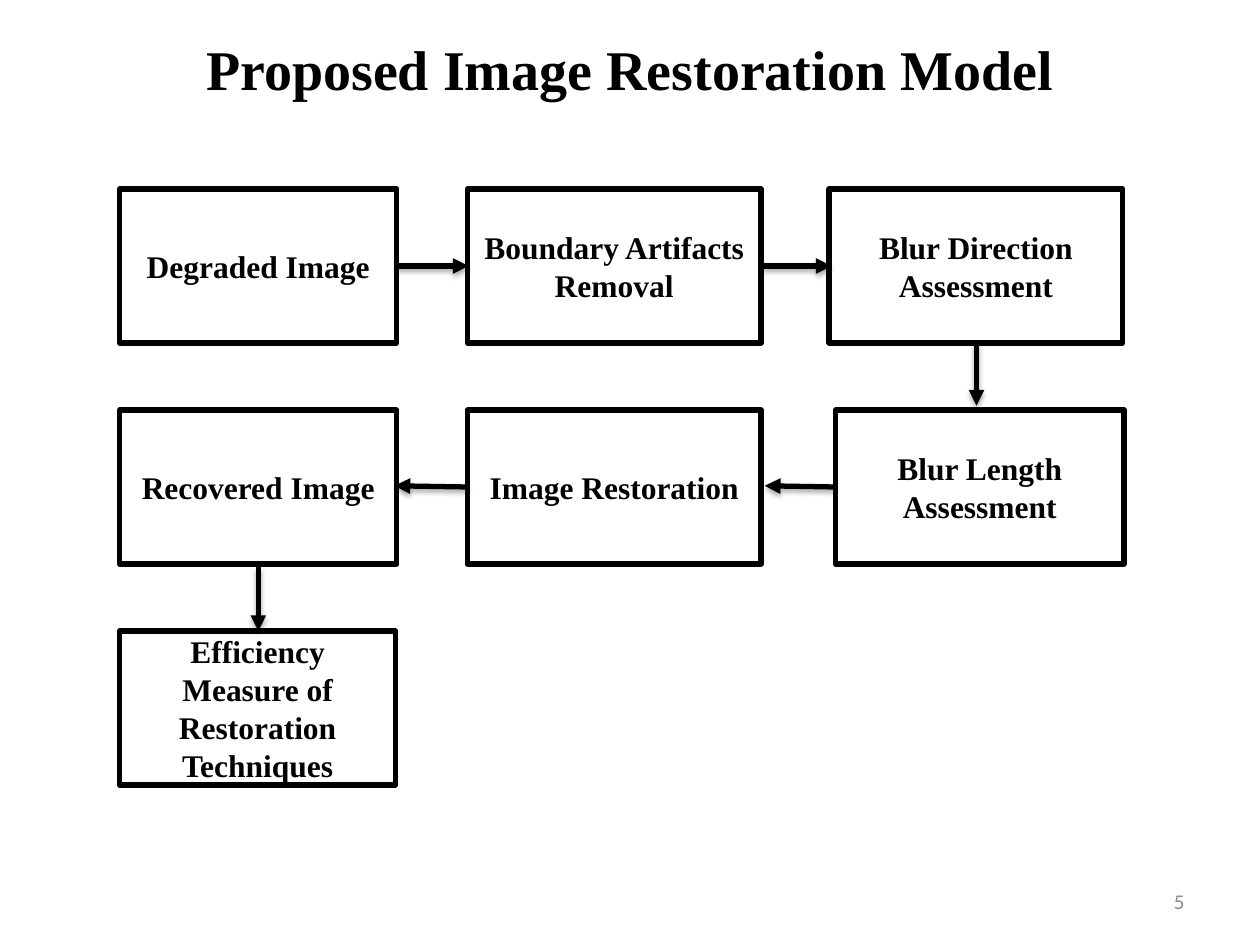
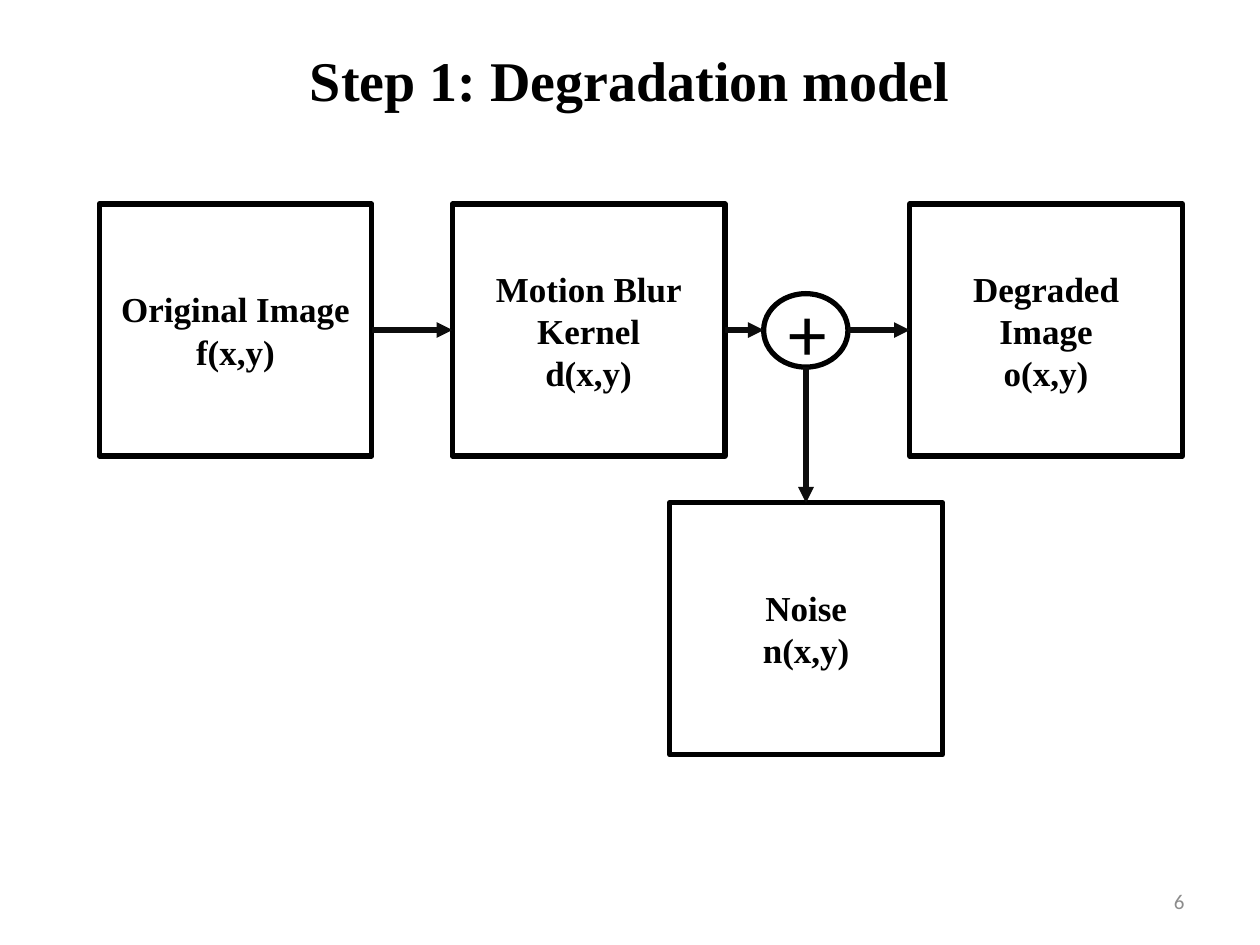
from dataclasses import dataclass

from lxml import etree
from pptx import Presentation
from pptx import util as u
from pptx.dml.color import RGBColor
from pptx.enum import shapes, text
from pptx.oxml.ns import qn

RECT = shapes.MSO_SHAPE.RECTANGLE
OVAL = shapes.MSO_SHAPE.OVAL


@dataclass(frozen=True)
class Theme:
    ink: str = "000000"
    soft: str = "0D0D0D"
    gray: str = "8C8C8C"
    paper: str = "FFFFFF"
    serif: str = "Times New Roman"
    sans: str = "Calibri"
    head: int = 32
    flow: int = 18
    block: int = 20
    sign: int = 44
    foot: int = 12
    line: int = 3


def write(frame, words, size, font, color, bold=False, align="CENTER"):
    """Fill a frame; a newline starts a paragraph, a vertical tab breaks a line."""
    frame.text = words
    frame.word_wrap = True
    frame.vertical_anchor = text.MSO_ANCHOR.MIDDLE
    for para in frame.paragraphs:
        para.alignment = getattr(text.PP_ALIGN, align)
        for run in para.runs:
            run.font.size = u.Pt(size)
            run.font.name = font
            run.font.bold = bold
            run.font.color.rgb = RGBColor.from_string(color)


def points(*sizes):
    return [u.Pt(size) for size in sizes]


def add(parent, tag, **attrs):
    return etree.SubElement(parent, qn(tag), attrs)


class Deck:
    def __init__(self, theme):
        self.theme = theme
        self.show = Presentation()
        self.show.slide_width, self.show.slide_height = points(720, 540)
        self.slide = None

    def page(self, title, top, height, number):
        look = self.theme
        self.slide = self.show.slides.add_slide(self.show.slide_layouts[5])
        head = self.slide.shapes.title
        head.left, head.top, head.width, head.height = points(36, top, 648, height)
        write(head.text_frame, title, look.head, look.serif, look.ink, bold=True)
        foot = self.slide.shapes.add_textbox(*points(516, 500.5, 168, 28.75))
        write(foot.text_frame, str(number), look.foot, look.sans, look.gray,
              align="RIGHT")

    def shape(self, kind, place, words, **form):
        look = self.theme
        item = self.slide.shapes.add_shape(kind, *points(*place))
        item.shadow.inherit = False
        item.fill.solid()
        item.fill.fore_color.rgb = RGBColor.from_string(look.paper)
        item.line.color.rgb = RGBColor.from_string(look.ink)
        item.line.width = u.Pt(look.line)
        write(item.text_frame, words, color=look.ink, **form)

    def box(self, place, words, size):
        self.shape(RECT, place, words, size=size, font=self.theme.serif, bold=True)

    def plus(self, place):
        self.shape(OVAL, place, "+", size=self.theme.sign, font=self.theme.sans)

    def arrow(self, ends, color, shade=False):
        link = self.slide.shapes.add_connector(
            shapes.MSO_CONNECTOR.STRAIGHT, *points(*ends))
        link.line.color.rgb = RGBColor.from_string(color)
        link.line.width = u.Pt(self.theme.line)
        add(link.line._get_or_add_ln(), "a:tailEnd", type="triangle")
        effects = add(link._element.spPr, "a:effectLst")
        if shade:
            cast = add(effects, "a:outerShdw", blurRad=str(u.Pt(3.1)),
                       dist=str(u.Pt(1.8)), dir="5400000", rotWithShape="0")
            tint = add(cast, "a:srgbClr", val=self.theme.ink)
            add(tint, "a:alpha", val="35000")


def draw_model(deck):
    look = deck.theme
    deck.page("Proposed Image Restoration Model", 6.5, 64.8, 5)
    top, step, height = 108, 126.3, 88
    # row, left, width, words
    steps = [
        (0, 68.4, 158.4, "Degraded Image"),
        (0, 267.1, 167.8, "Boundary Artifacts Removal"),
        (0, 473.8, 167.8, "Blur Direction Assessment"),
        (1, 477.4, 164.9, "Blur Length Assessment"),
        (1, 267.1, 167.8, "Image Restoration"),
        (1, 68.4, 158.4, "Recovered Image"),
        (2, 68.4, 157.7, "Efficiency Measure of Restoration Techniques"),
    ]
    for row, left, width, words in steps:
        deck.box((left, top + row * step, width, height), words, look.flow)

    first = top + height / 2
    second = first + step
    for ends in [
        (226.8, first, 267.8, first),
        (435.6, first, 475.2, first),
        (558, top + height, 558, 231.8),
        (477.4, second, 437, second - 0.7),
        (267.1, second, 225.4, second - 0.7),
        (147.6, 324, 147.6, top + 2 * step),
    ]:
        deck.arrow(ends, look.ink, shade=True)


def draw_decay(deck):
    look = deck.theme
    deck.page("Step 1: Degradation model", 18, 54, 6)
    top, width, height = 116.6, 155.8, 144
    low = 287.3
    for left, y, words in [
        (56.7, top, "Original Image\nf(x,y)"),
        (258.5, top, "Motion Blur Kernel\nd(x,y)"),
        (519.9, top, "Degraded Image\vo(x,y)"),
        (382.8, low, "Noise\vn(x,y)"),
    ]:
        deck.box((left, y, width, height), words, look.block)
    deck.plus((436.4, 167.8, 48.2, 42))

    mid = top + height / 2
    for start, end in [(212.5, 258.5), (414.3, 436.4), (484.6, 519.9)]:
        deck.arrow((start, mid, end, mid), look.soft)
    deck.arrow((460.6, 210, 460.6, low), look.soft)


def main():
    deck = Deck(Theme())
    draw_model(deck)
    draw_decay(deck)
    deck.show.save("out.pptx")


if __name__ == "__main__":
    main()
